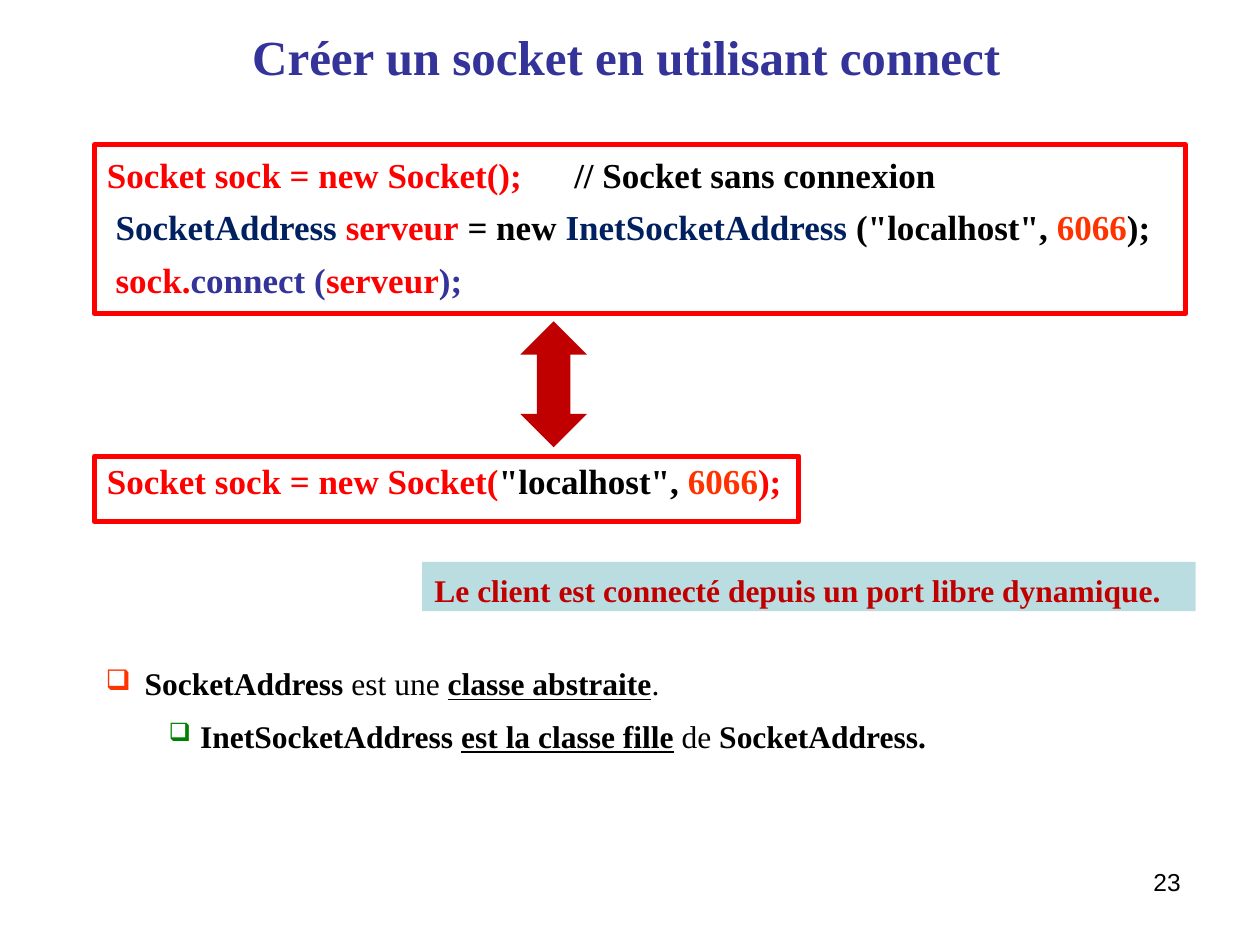
from pptx import Presentation
from pptx.util import Inches, Pt
from pptx.dml.color import RGBColor
from pptx.enum.shapes import MSO_SHAPE
from pptx.enum.text import MSO_ANCHOR, PP_ALIGN
from pptx.oxml.ns import qn
from lxml.etree import SubElement

THEME = {
    "blue": "333399", "navy": "002060", "red": "FF0000", "orange": "FF3300",
    "dark": "C00000", "green": "008000", "pale": "BADDE1", "black": "000000",
    "serif": "Times New Roman", "sans": "Arial",
    "head": 28, "code": 20, "note": 18, "page": 14, "gap": 5, "edge": 3,
}

BOLD = {"bold": True}
PLAIN = {"bold": False}
UNDER = {"bold": True, "underline": True}

TITLE = [[("Créer un socket en utilisant connect", "blue", BOLD)]]
LONG = [
    [("Socket sock = new Socket();\t", "red", BOLD),
     ("// Socket sans connexion", "black", BOLD)],
    [(" SocketAddress ", "navy", BOLD), ("serveur", "red", BOLD),
     (" = new ", "black", BOLD), ("InetSocketAddress ", "navy", BOLD),
     ('("localhost", ', "black", BOLD), ("6066", "orange", BOLD),
     (");", "black", BOLD)],
    [(" sock.", "red", BOLD), ("connect (", "blue", BOLD),
     ("serveur", "red", BOLD), (");", "blue", BOLD)],
]
SHORT = [
    [("Socket sock = new Socket(", "red", BOLD), ('"localhost", ', "black", BOLD),
     ("6066", "orange", BOLD), (");", "red", BOLD)],
]
BANNER = [[("Le client est connecté depuis un port libre dynamique.", "dark", BOLD)]]
NOTES = [
    [("SocketAddress ", "black", BOLD), ("est une ", "black", PLAIN),
     ("classe abstraite", "black", UNDER), (".", "black", PLAIN)],
    [("InetSocketAddress ", "black", BOLD), ("est la classe fille", "black", UNDER),
     (" de ", "black", PLAIN), ("SocketAddress.", "black", BOLD)],
]
PAGE = [[("23", "black", PLAIN)]]
MARKS = [("orange", 90, 0.81, 0.31), ("green", 80, 1.25, 0.25)]
TAB = 3.71


def tint(name):
    return RGBColor.from_string(THEME[name])


def apply(item, values):
    for key, value in values.items():
        setattr(item, key, value)


def write(shape, lines, size, font="serif", align=PP_ALIGN.LEFT, lead=1.0,
          top=0.05, anchor=MSO_ANCHOR.TOP):
    frame = shape.text_frame
    apply(frame, {"word_wrap": True, "vertical_anchor": anchor,
                  "margin_left": Inches(0.1), "margin_right": Inches(0.1),
                  "margin_top": Inches(top), "margin_bottom": Inches(0.05)})
    for i, line in enumerate(lines):
        para = frame.add_paragraph() if i else frame.paragraphs[0]
        apply(para, {"alignment": align, "line_spacing": lead,
                     "space_before": Pt(THEME["gap"] if i else 0)})
        for text, color, style in line:
            run = para.add_run()
            run.text = text
            run.font.color.rgb = tint(color)
            apply(run.font, {"name": THEME[font], "size": Pt(THEME[size]), **style})
    return frame.paragraphs


def place(slide, box, kind=MSO_SHAPE.RECTANGLE, fill=None, line=None):
    shape = slide.shapes.add_shape(kind, *map(Inches, box))
    shape.shadow.inherit = False
    if fill:
        shape.fill.solid()
        shape.fill.fore_color.rgb = tint(fill)
    else:
        shape.fill.background()
    if line:
        shape.line.color.rgb = tint(line)
        shape.line.width = Pt(THEME["edge"])
    else:
        shape.line.fill.background()
    return shape


def label(slide, box):
    return slide.shapes.add_textbox(*map(Inches, box))


def mark(para, color, size, left, hang):
    props = para._p.get_or_add_pPr()
    props.set("marL", str(Inches(left)))
    props.set("indent", str(-Inches(hang)))
    paint = SubElement(props, qn("a:buClr"))
    SubElement(paint, qn("a:srgbClr"), val=THEME[color])
    SubElement(props, qn("a:buSzPct"), val=str(size * 1000))
    SubElement(props, qn("a:buChar"), char="❑")


def stop(para, pos):
    tabs = SubElement(para._p.get_or_add_pPr(), qn("a:tabLst"))
    SubElement(tabs, qn("a:tab"), pos=str(Inches(pos)), algn="l")


def main():
    deck = Presentation()
    apply(deck, {"slide_width": Inches(10), "slide_height": Inches(7.5)})
    slide = deck.slides.add_slide(deck.slide_layouts[6])

    write(label(slide, (7.14, 6.83, 2.33, 0.52)), PAGE, "page", "sans", PP_ALIGN.RIGHT)
    write(label(slide, (0.47, 0.13, 9, 0.63)), TITLE, "head",
          align=PP_ALIGN.CENTER, anchor=MSO_ANCHOR.MIDDLE)

    code = write(place(slide, (0.75, 1.15, 8.66, 1.34), line="red"),
                 LONG, "code", lead=1.05)
    stop(code[0], TAB)
    write(place(slide, (0.75, 3.62, 5.59, 0.52), line="red"),
          SHORT, "code", lead=1.05, top=0.01)
    place(slide, (4.13, 2.55, 0.53, 1), MSO_SHAPE.UP_DOWN_ARROW, "dark")
    write(place(slide, (3.35, 4.46, 6.14, 0.39), fill="pale"),
          BANNER, "note", align=PP_ALIGN.JUSTIFY, top=0.07)

    notes = write(label(slide, (0.24, 5.18, 9.37, 0.9)), NOTES, "note",
                  align=PP_ALIGN.JUSTIFY, lead=1.15)
    for para, form in zip(notes, MARKS):
        mark(para, *form)

    deck.save("out.pptx")


if __name__ == "__main__":
    main()
